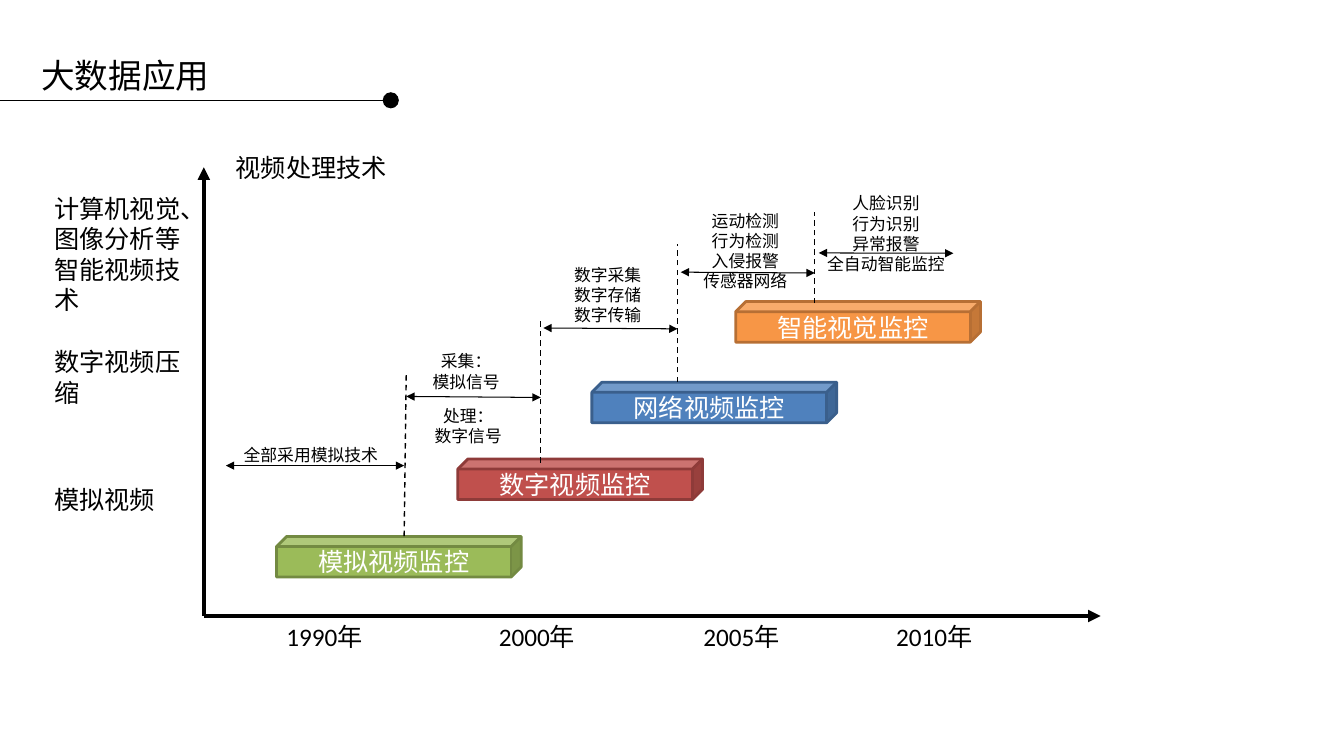
from lxml import etree
from pptx import Presentation
from pptx.dml.color import RGBColor
from pptx.enum.dml import MSO_LINE
from pptx.enum.shapes import MSO_CONNECTOR, MSO_SHAPE
from pptx.enum.text import MSO_ANCHOR, MSO_AUTO_SIZE, PP_ALIGN
from pptx.oxml.ns import qn
from pptx.util import Pt

BLACK = "000000"


def write(shape, lines, size, color=BLACK, align=PP_ALIGN.LEFT, anchor=MSO_ANCHOR.TOP,
          font="Calibri", wrap=True):
    """Fill a shape with one paragraph per line."""
    frame = shape.text_frame
    frame.word_wrap = wrap
    frame.auto_size = MSO_AUTO_SIZE.NONE
    frame.vertical_anchor = anchor
    for i, line in enumerate(lines):
        paragraph = frame.add_paragraph() if i else frame.paragraphs[0]
        paragraph.alignment = align
        run = paragraph.add_run()
        run.text = line
        run.font.size = Pt(size)
        run.font.name = font
        run.font.color.rgb = RGBColor.from_string(color)


def draw_line(x1, y1, x2, y2, width, dashed=False, arrows=()):
    """Draw a black line; arrows lists the ends, headEnd before tailEnd."""
    connector = slide.shapes.add_connector(
        MSO_CONNECTOR.STRAIGHT, Pt(x1), Pt(y1), Pt(x2), Pt(y2))
    connector.line.color.rgb = RGBColor.from_string(BLACK)
    connector.line.width = Pt(width)
    if dashed:
        connector.line.dash_style = MSO_LINE.DASH
    for end in arrows:
        etree.SubElement(connector.line._get_or_add_ln(), qn(f"a:{end}"), type="triangle")
    etree.SubElement(connector._element.spPr, qn("a:effectLst"))


presentation = Presentation()
presentation.slide_width = Pt(960)
presentation.slide_height = Pt(540)
slide = presentation.slides.add_slide(presentation.slide_layouts[5])

# Heading
heading = slide.shapes.title
heading.left, heading.top, heading.width, heading.height = Pt(22.3), Pt(35.3), Pt(249), Pt(36)
write(heading, ["大数据应用"], 24, font="Arial Narrow")
draw_line(-2, 71.6, 273.6, 71.6, 0.75)
dot = slide.shapes.add_shape(MSO_SHAPE.OVAL, Pt(273.4), Pt(65.9), Pt(11.5), Pt(11.5))
dot.shadow.inherit = False
dot.fill.solid()
dot.fill.fore_color.rgb = RGBColor.from_string(BLACK)
dot.line.fill.background()

# Axes
ORIGIN_X, ORIGIN_Y = 145.6, 440
draw_line(ORIGIN_X, ORIGIN_Y, ORIGIN_X, 119.5, 3, arrows=["tailEnd"])
draw_line(ORIGIN_X, ORIGIN_Y, 786.2, ORIGIN_Y, 3, arrows=["tailEnd"])

# Axis labels: left, top, width, height, text
axis_labels = [
    (31.7, 134.6, 115.2, 94.3, "计算机视觉、图像分析等智能视频技术"),
    (31.7, 244.1, 115.2, 51.1, "数字视频压缩"),
    (31.7, 342.2, 115.2, 29, "模拟视频"),
]
for left, year in [(197.5, 1990), (349.2, 2000), (495.4, 2005), (633, 2010)]:
    axis_labels.append((left, ORIGIN_Y, 73.4, 29, f"{year}年"))
for left, top, width, height, text in axis_labels:
    label = slide.shapes.add_textbox(Pt(left), Pt(top), Pt(width), Pt(height))
    write(label, [text], 18)
axis_title = slide.shapes.add_textbox(Pt(161.3), Pt(105.1), Pt(123.8), Pt(29))
write(axis_title, ["视频处理技术"], 18, wrap=False)

# Generations of surveillance: left, top, fill, outline, text
generations = [
    (197.5, 383.2, "9BBB59", "738A42", "模拟视频监控"),
    (327, 327.8, "C0504D", "8E3B39", "数字视频监控"),
    (422.8, 273, "4F81BD", "3A5F8C", "网络视频监控"),
    (525.5, 215.4, "F79646", "B76F34", "智能视觉监控"),
]
for left, top, fill, outline, text in generations:
    block = slide.shapes.add_shape(MSO_SHAPE.CUBE, Pt(left), Pt(top), Pt(174.8), Pt(29))
    block.shadow.inherit = False
    block.fill.solid()
    block.fill.fore_color.rgb = RGBColor.from_string(fill)
    block.line.color.rgb = RGBColor.from_string(outline)
    block.line.width = Pt(2)
    write(block, [text], 18, "FFFFFF", PP_ALIGN.CENTER, MSO_ANCHOR.MIDDLE)

# Dashed boundaries between generations
for x1, y1, x2, y2 in [(288.7, 383, 290.2, 265.7), (386.2, 330.5, 386.2, 229),
                       (484, 273, 484, 174.2), (582, 216.7, 582, 151.2)]:
    draw_line(x1, y1, x2, y2, 1, dashed=True)

# Span of each generation
for x1, y1, x2, y2 in [(161.3, 332.6, 288.7, 332.6), (290.2, 283.2, 386.2, 283.9),
                       (388.1, 234.3, 484, 234.9), (486.2, 194.4, 582, 195),
                       (584.8, 180.7, 681, 180.9)]:
    draw_line(x1, y1, x2, y2, 0.75, arrows=["headEnd", "tailEnd"])

# Features of each generation: left, top, width, lines
features = [
    (167, 313.9, 115.2, ["全部采用模拟技术"]),
    (299.5, 247.3, 67, ["采集：", "模拟信号"]),
    (301, 286, 67, ["处理：", "数字信号"]),
    (397.4, 185.3, 73.4, ["数字采集", "数字存储", "数字传输"]),
    (490.3, 147, 84.2, ["运动检测", "行为检测", "入侵报警", "传感器网络"]),
    (582.5, 134.4, 100.8, ["人脸识别", "行为识别", "异常报警", "全自动智能监控"]),
]
for left, top, width, lines in features:
    note = slide.shapes.add_textbox(
        Pt(left), Pt(top), Pt(width), Pt(7.2 + 14.6 * len(lines)))
    write(note, lines, 12, align=PP_ALIGN.CENTER if len(lines) > 1 else PP_ALIGN.LEFT)

presentation.save("out.pptx")
